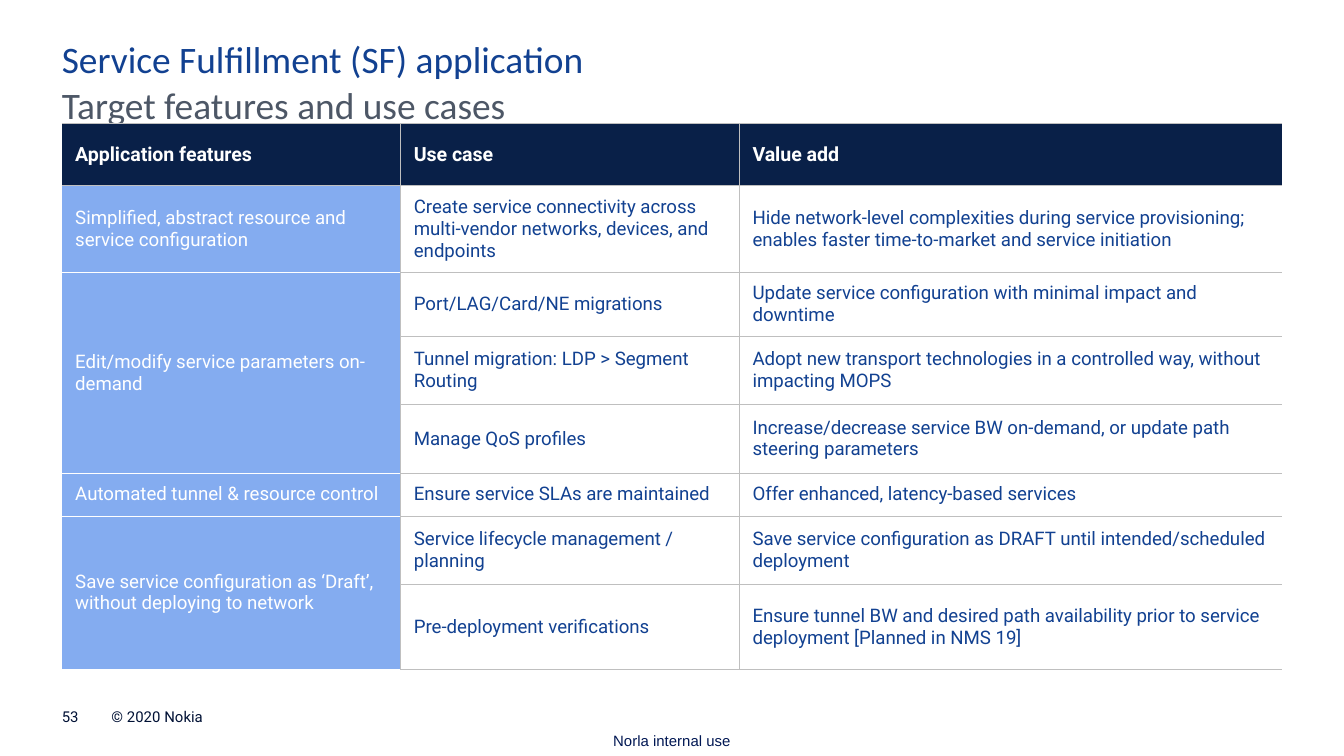
"""Build the Service Fulfillment features and use cases slide."""
from lxml import etree
from pptx import Presentation
from pptx.dml.color import RGBColor
from pptx.enum import text as t
from pptx.oxml import ns
from pptx.util import Inches, Pt

BLUE = RGBColor(0x12, 0x41, 0x91)
GREY = RGBColor(0x4D, 0x57, 0x66)
INK = RGBColor(0x00, 0x11, 0x35)
NAVY = RGBColor(0x00, 0x17, 0x53)
HEADER = RGBColor(0x09, 0x20, 0x48)
FEATURE = RGBColor(0x84, 0xAC, 0xF0)
RULE = RGBColor(0xBF, 0xBF, 0xBF)
WHITE = RGBColor(0xFF, 0xFF, 0xFF)

SLIDE_WIDTH = Inches(10)
SLIDE_HEIGHT = SLIDE_WIDTH * 9 // 16
LEFT, WIDTH = 0.46, 9.09
TOP, MIDDLE, BOTTOM = t.MSO_ANCHOR.TOP, t.MSO_ANCHOR.MIDDLE, t.MSO_ANCHOR.BOTTOM
ALIGN_LEFT, ALIGN_CENTER = t.PP_ALIGN.LEFT, t.PP_ALIGN.CENTER

LABELS = [
    ("© 2020 Nokia", (0.83, 5.27, 1.97, 0.13), "Roboto", 8, INK, BOTTOM, ALIGN_LEFT, 1),
    ("53", (LEFT, 5.27, 0.28, 0.13), "Roboto", 8, INK, BOTTOM, ALIGN_LEFT, 1),
    ("Norla internal use", (4.42, 5.39, 1.16, 0.24), "Arial", 8, NAVY, MIDDLE, ALIGN_CENTER, 1),
    ("Target features and use cases", (LEFT, 0.65, WIDTH, 0.34), "Calibri", 20, GREY, TOP, ALIGN_LEFT, 0.9),
    ("Service Fulfillment (SF) application", (LEFT, 0.31, WIDTH, 0.34), "Calibri", 20, BLUE, TOP, ALIGN_LEFT, 0.9),
]

HEADINGS = ("Application features", "Use case", "Value add")
FEATURES = [
    ("Simplified, abstract resource and service configuration", [
        ("Create service connectivity across multi-vendor networks, devices, and endpoints",
         "Hide network-level complexities during service provisioning; "
         "enables faster time-to-market and service initiation"),
    ]),
    ("Edit/modify service parameters on-demand", [
        ("Port/LAG/Card/NE migrations",
         "Update service configuration with minimal impact and downtime"),
        ("Tunnel migration: LDP > Segment Routing",
         "Adopt new transport technologies in a controlled way, without impacting MOPS"),
        ("Manage QoS profiles",
         "Increase/decrease service BW on-demand, or update path steering parameters"),
    ]),
    ("Automated tunnel & resource control", [
        ("Ensure service SLAs are maintained", "Offer enhanced, latency-based services"),
    ]),
    ("Save service configuration as ‘Draft’, without deploying to network", [
        ("Service lifecycle management / planning",
         "Save service configuration as DRAFT until intended/scheduled deployment"),
        ("Pre-deployment verifications",
         "Ensure tunnel BW and desired path availability prior to service "
         "deployment [Planned in NMS 19]"),
    ]),
]
COLUMN_WIDTHS = (2.52, 2.52, 4.04)
ROW_HEIGHTS = (0.46, 0.65, 0.47, 0.51, 0.51, 0.32, 0.51, 0.63)


def style_run(paragraph, font_name, size, color, bold=False):
    font = paragraph.runs[0].font
    font.name, font.size, font.bold = font_name, Pt(size), bold
    font.color.rgb = color


def add_label(slide, words, place, font_name, size, color, anchor, align, spacing):
    frame = slide.shapes.add_textbox(*map(Inches, place)).text_frame
    frame.margin_left = frame.margin_right = frame.margin_top = frame.margin_bottom = 0
    frame.word_wrap, frame.vertical_anchor = True, anchor
    frame.text = words
    paragraph = frame.paragraphs[0]
    paragraph.alignment, paragraph.line_spacing = align, spacing
    style_run(paragraph, font_name, size, color)


def set_borders(cell, colors):
    properties = cell._tc.get_or_add_tcPr()
    for side, color in zip("LRTB", colors):
        line = etree.SubElement(properties, ns.qn(f"a:ln{side}"), w=str(Pt(0.5)))
        if color is None:
            etree.SubElement(line, ns.qn("a:noFill"))
        else:
            fill = etree.SubElement(line, ns.qn("a:solidFill"))
            etree.SubElement(fill, ns.qn("a:srgbClr"), val=str(color))


def style_cell(cell, row, column):
    is_feature = column == 0 and row > 0
    set_borders(cell, (
        RULE if column > 0 else None,
        RULE if column < len(HEADINGS) - 1 else None,
        WHITE if is_feature and row > 1 else RULE,
        WHITE if is_feature else RULE,
    ))
    cell.fill.solid()
    cell.fill.fore_color.rgb = HEADER if row == 0 else FEATURE if is_feature else WHITE
    cell.vertical_anchor = MIDDLE


def write_cell(cell, words, size, color, bold=False):
    cell.text_frame.text = words
    style_run(cell.text_frame.paragraphs[0], "Roboto", size, color, bold)


def add_features_table(slide):
    table = slide.shapes.add_table(
        len(ROW_HEIGHTS), len(COLUMN_WIDTHS), Inches(LEFT), Inches(0.92),
        Inches(WIDTH), Inches(sum(ROW_HEIGHTS))).table
    for column, width in zip(table.columns, COLUMN_WIDTHS):
        column.width = Inches(width)
    for row, height in zip(table.rows, ROW_HEIGHTS):
        row.height = Inches(height)
    for row in range(len(ROW_HEIGHTS)):
        for column in range(len(COLUMN_WIDTHS)):
            style_cell(table.cell(row, column), row, column)

    for column, heading in enumerate(HEADINGS):
        write_cell(table.cell(0, column), heading, 10.5, WHITE, True)
    row = 1
    for feature, cases in FEATURES:
        write_cell(table.cell(row, 0), feature, 10, WHITE)
        if len(cases) > 1:
            table.cell(row, 0).merge(table.cell(row + len(cases) - 1, 0))
        for case in cases:
            for column, words in enumerate(case, 1):
                write_cell(table.cell(row, column), words, 10, BLUE)
            row += 1


def main():
    presentation = Presentation()
    presentation.slide_width, presentation.slide_height = SLIDE_WIDTH, SLIDE_HEIGHT
    slide = presentation.slides.add_slide(presentation.slide_layouts[6])
    for label in LABELS:
        add_label(slide, *label)
    add_features_table(slide)
    presentation.save("out.pptx")


if __name__ == "__main__":
    main()
